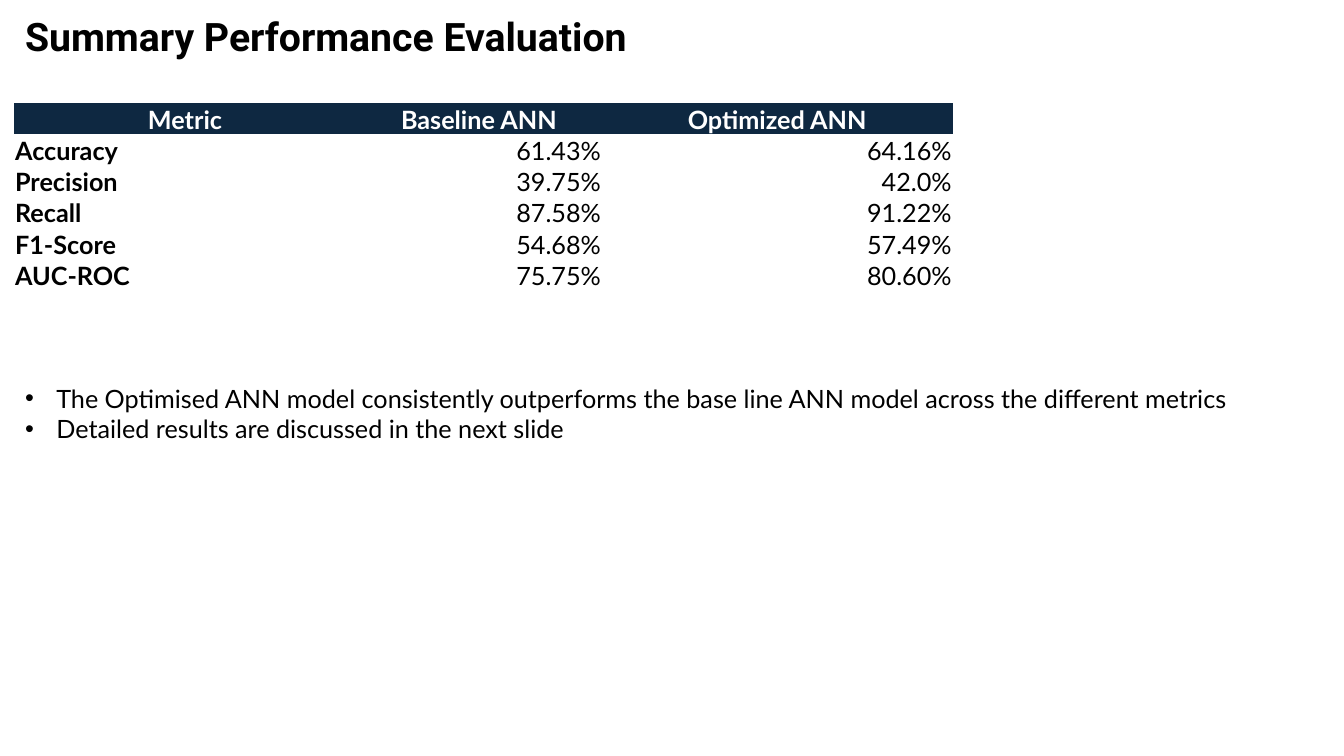
import pptx
import pptx.util
import pptx.dml.color
import pptx.enum.text
import pptx.oxml.ns
import lxml.etree

HUES = {"ink": "000000", "navy": "0E2841", "white": "FFFFFF"}
ALIGN = pptx.enum.text.PP_ALIGN
PLAIN = "{2D5ABB26-0587-4C30-8999-92F81FD0307C}"  # table style without lines

HEADS = ["Metric", "Baseline ANN", "Optimized ANN"]
SCORES = [
    ("Accuracy", "61.43%", "64.16%"),
    ("Precision", "39.75%", "42.0%"),
    ("Recall", "87.58%", "91.22%"),
    ("F1-Score", "54.68%", "57.49%"),
    ("AUC-ROC", "75.75%", "80.60%"),
]
POINTS = [
    "The Optimised ANN model consistently outperforms the base line ANN model across the different metrics",
    "Detailed results are discussed in the next slide",
]


def hue(name):
    return pptx.dml.color.RGBColor.from_string(HUES[name])


def write(para, text, font="Lato", size=18, color="ink", bold=False, align=ALIGN.LEFT):
    para.alignment = align
    run = para.add_run()
    run.text = text
    run.font.name = font
    run.font.size = pptx.util.Pt(size)
    run.font.bold = bold
    run.font.color.rgb = hue(color)


class Deck:
    """Places elements on a grid of 100 columns by 100 rows."""

    def __init__(self, wide, high):
        self.show = pptx.Presentation()
        self.show.slide_width = pptx.util.Inches(wide)
        self.show.slide_height = pptx.util.Inches(high)
        self.page = self.show.slides.add_slide(self.show.slide_layouts[6])
        self.page.background.fill.solid()
        self.page.background.fill.fore_color.rgb = hue("white")

    def cols(self, count):
        return round(self.show.slide_width * count / 100)

    def rows(self, count):
        return round(self.show.slide_height * count / 100)

    def place(self, left, top, wide, high):
        return self.cols(left), self.rows(top), self.cols(wide), self.rows(high)

    def text(self, area, lines, bullet=False, **style):
        frame = self.page.shapes.add_textbox(*self.place(*area)).text_frame
        frame.word_wrap = True
        frame.auto_size = pptx.enum.text.MSO_AUTO_SIZE.SHAPE_TO_FIT_TEXT
        for i, line in enumerate(lines):
            para = frame.add_paragraph() if i else frame.paragraphs[0]
            write(para, line, **style)
            if bullet:
                self.mark(para)

    def mark(self, para):
        props = para._p.get_or_add_pPr()
        dent = pptx.util.Inches(0.31)
        props.set("marL", str(dent))
        props.set("indent", str(-dent))
        qn = pptx.oxml.ns.qn
        lxml.etree.SubElement(props, qn("a:buFont")).set("typeface", "Arial")
        lxml.etree.SubElement(props, qn("a:buChar")).set("char", "•")

    def table(self, left, top, widths, step, heads, data):
        lines = [heads, *data]
        area = self.place(left, top, sum(widths), step * len(lines))
        grid = self.page.shapes.add_table(len(lines), len(heads), *area).table
        grid.first_row = grid.horz_banding = False
        grid._tbl.tblPr.find(pptx.oxml.ns.qn("a:tableStyleId")).text = PLAIN
        for col, wide in zip(grid.columns, widths):
            col.width = self.cols(wide)
        for r, line in enumerate(lines):
            grid.rows[r].height = self.rows(step)
            for c, text in enumerate(line):
                self.cell(grid.cell(r, c), text, head=r == 0, label=c == 0)

    def cell(self, cell, text, head, label):
        cell.margin_left = cell.margin_right = cell.margin_top = pptx.util.Inches(0.01)
        cell.margin_bottom = 0
        cell.vertical_anchor = pptx.enum.text.MSO_ANCHOR.MIDDLE
        if head:
            cell.fill.solid()
            cell.fill.fore_color.rgb = hue("navy")
            align = ALIGN.CENTER
        else:
            cell.fill.background()
            align = ALIGN.LEFT if label else ALIGN.RIGHT
        write(cell.text_frame.paragraphs[0], text, bold=head or label,
              color="white" if head else "ink", align=align)


def main():
    deck = Deck(13.33, 7.5)
    # Title
    deck.text((1.13, 0.93, 103.45, 7.6), ["Summary Performance Evaluation"],
              font="Roboto", size=28, bold=True)
    # Scores of both models
    deck.table(1.05, 13.65, [25.43, 18.3, 26.1], 4.09, HEADS, SCORES)
    # Findings
    deck.text((1.13, 50, 98.87, 9.47), POINTS, bullet=True)
    deck.show.save("out.pptx")


if __name__ == "__main__":
    main()
